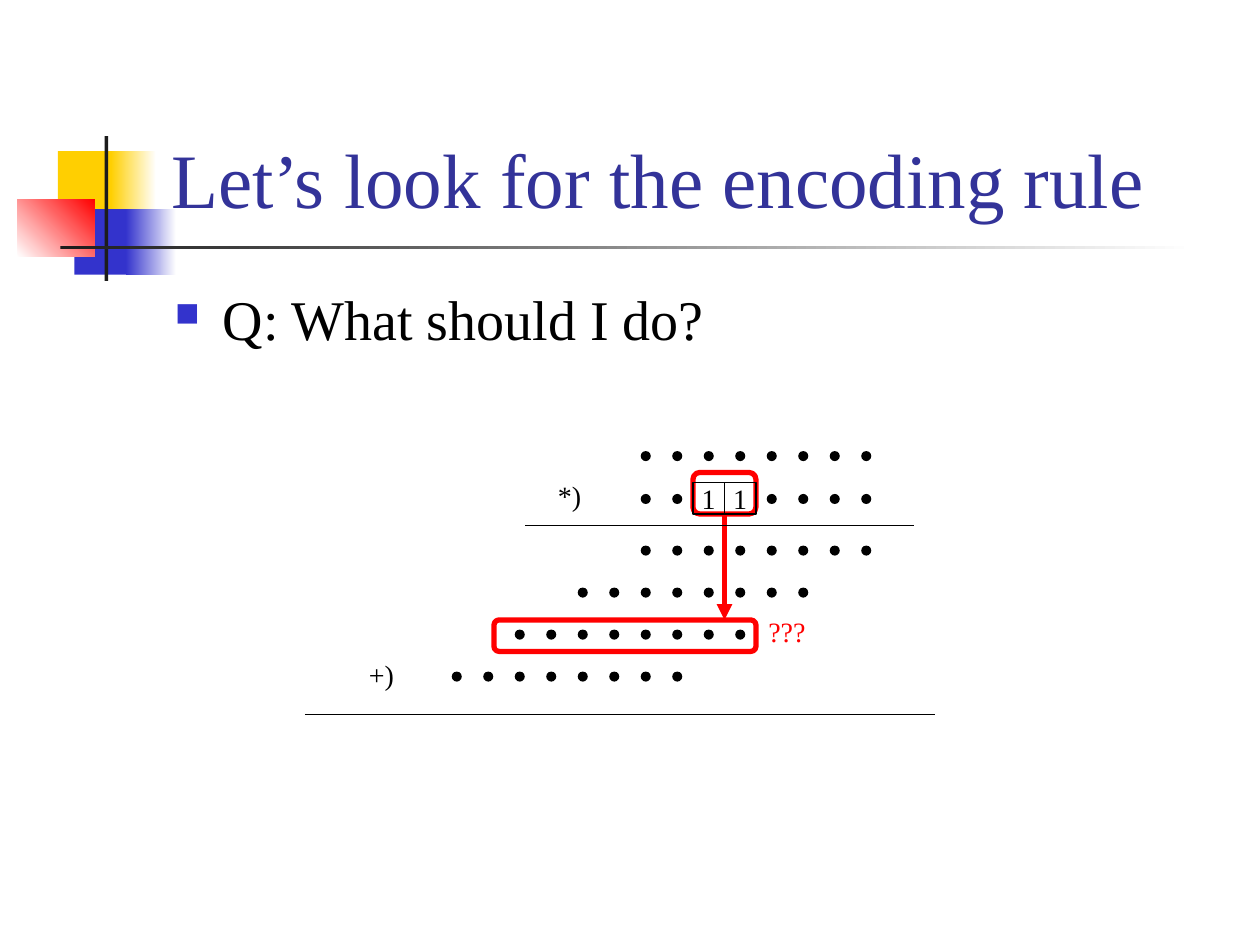
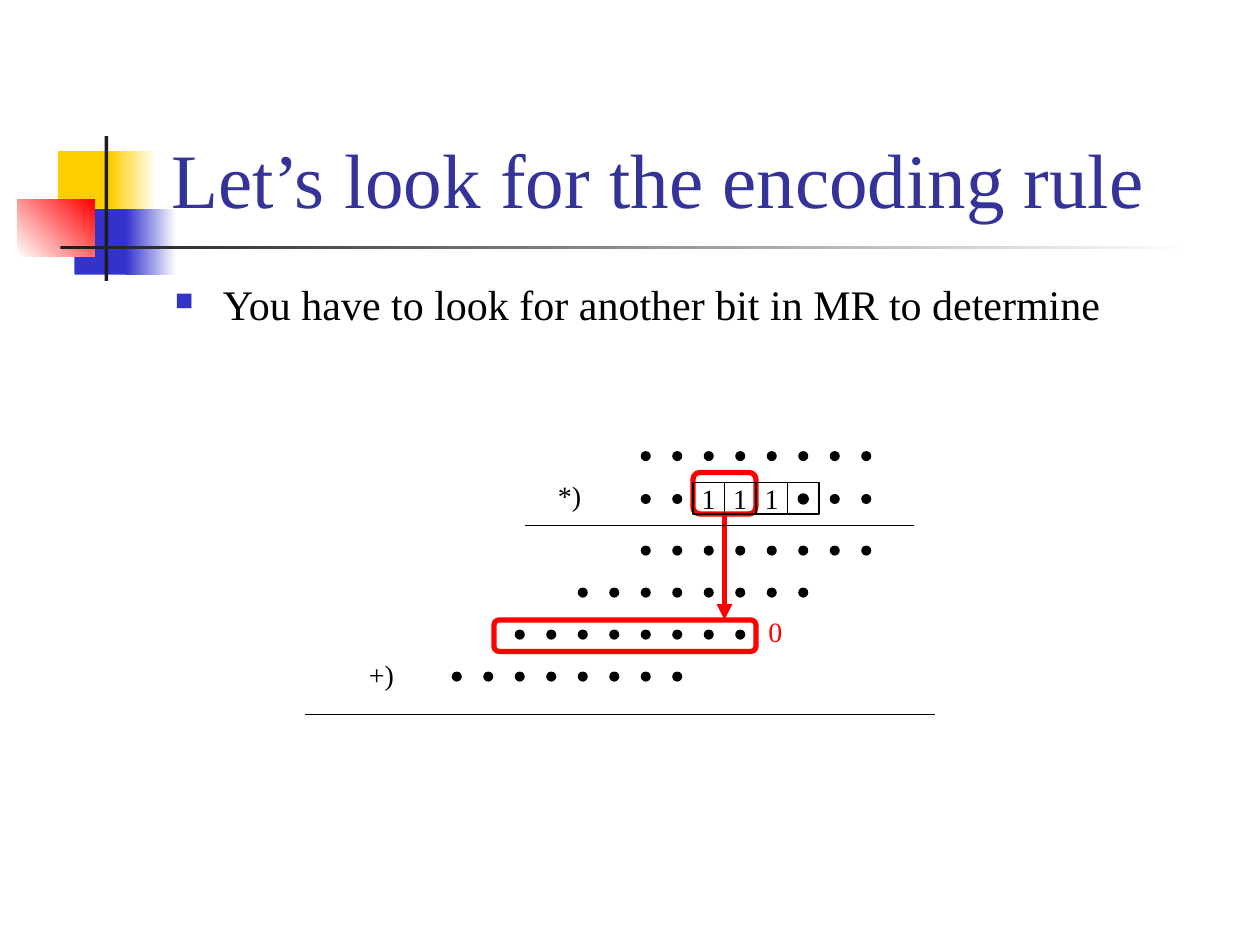
from lxml import etree
from pptx import Presentation
from pptx.dml.color import RGBColor
from pptx.enum.shapes import MSO_CONNECTOR, MSO_SHAPE
from pptx.enum.text import MSO_ANCHOR, MSO_AUTO_SIZE, PP_ALIGN
from pptx.oxml.ns import qn
from pptx.util import Inches, Pt

FONT = "Times New Roman"
BLACK, WHITE, RED = "000000", "FFFFFF", "FF0000"
YELLOW, BLUE, CHARCOAL, TITLE_BLUE = "FFCF01", "3333CC", "1C1C1C", "333399"
TITLE = "Let’s look for the encoding rule"

# left, top, width, height, colours from start to end, gradient angle
TITLE_BLOCKS = [
    (0.46, 1.2, 0.48, 0.52, [YELLOW], 0),
    (0.88, 1.2, 0.36, 0.52, [YELLOW, WHITE], 0),
    (0.59, 1.66, 0.46, 0.52, [BLUE], 0),
    (1, 1.66, 0.4, 0.52, [BLUE, WHITE], 0),
    (0.14, 1.58, 0.61, 0.46, [WHITE, RED], 45),
    (0.83, 1.08, 0.03, 1.15, [CHARCOAL], 0),
    (0.48, 1.95, 9, 0.03, [CHARCOAL, WHITE], 0),
]

# bullet, size, line spacing, multiplier bits, boxed columns, answer, answer width
STEPS = [
    ("Q: What should I do?", 32, 1.0, "••11••••", range(2, 4), "???", 0.5),
    ("You have to look for another bit in MR to determine", 24, 0.9,
     "••111•••", range(2, 6), "0", 0.31),
]

BITS = 8
PITCH = 0.25
GRID_LEFT = 5
DOT = 0.08
DOT_INSET = (PITCH - DOT) / 2
ROW_STEP = 1 / 3


def add_figure(shapes, preset, left, top, width, height, fill=None, line=None, weight=0.75):
    """Add a preset shape; without fill or line colour that part stays empty."""
    figure = shapes.add_shape(preset, Inches(left), Inches(top), Inches(width), Inches(height))
    figure.shadow.inherit = False
    if fill:
        figure.fill.solid()
        figure.fill.fore_color.rgb = RGBColor.from_string(fill)
    else:
        figure.fill.background()
    if line:
        figure.line.color.rgb = RGBColor.from_string(line)
        figure.line.width = Pt(weight)
    else:
        figure.line.fill.background()
    return figure


def write(holder, text, size, color=BLACK, wrap=False):
    """Put one formatted paragraph into a shape and return the paragraph."""
    frame = holder.text_frame
    frame.text = text
    frame.word_wrap = wrap
    paragraph = frame.paragraphs[0]
    font = paragraph.runs[0].font
    font.name, font.size = FONT, Pt(size)
    font.color.rgb = RGBColor.from_string(color)
    return paragraph


prs = Presentation()
prs.slide_width, prs.slide_height = Inches(10), Inches(7.5)

for question, size, spacing, multiplier, boxed, answer, answer_width in STEPS:
    slide = prs.slides.add_slide(prs.slide_layouts[6])
    shapes = slide.shapes

    for left, top, width, height, colors, angle in TITLE_BLOCKS:
        block = add_figure(shapes, MSO_SHAPE.RECTANGLE, left, top, width, height, colors[0])
        if len(colors) == 2:
            block.fill.gradient()
            block.fill.gradient_angle = angle
            for stop, color in zip(block.fill.gradient_stops, colors):
                stop.color.rgb = RGBColor.from_string(color)

    title = shapes.add_textbox(Inches(1.26), Inches(0.23), Inches(8.52), Inches(1.6))
    title.text_frame.vertical_anchor = MSO_ANCHOR.BOTTOM
    write(title, TITLE, 44, TITLE_BLUE, wrap=True)

    body = shapes.add_textbox(Inches(1.29), Inches(2.21), Inches(8.5), Inches(0.71))
    bullet = write(body, question, size, wrap=True)
    bullet.line_spacing = spacing
    props = bullet._p.get_or_add_pPr()
    props.set("marL", str(Inches(0.38)))
    props.set("indent", str(-Inches(0.38)))
    space_before = etree.SubElement(props, qn("a:spcBef"))
    etree.SubElement(space_before, qn("a:spcPct"), val="20000")
    bullet_color = etree.SubElement(props, qn("a:buClr"))
    etree.SubElement(bullet_color, qn("a:srgbClr"), val=BLUE)
    etree.SubElement(props, qn("a:buSzPct"), val="60000")
    etree.SubElement(props, qn("a:buChar"), char="■")

    # Highlighted bit pair and the partial product it selects
    bit_pair = add_figure(shapes, MSO_SHAPE.ROUNDED_RECTANGLE, 5.5, 3.75, 0.5, 0.33,
                          line=RED, weight=3)
    add_figure(shapes, MSO_SHAPE.ROUNDED_RECTANGLE, 3.92, 4.92, 2.08, 0.25, line=RED, weight=3)

    # Selection arrow, then the rules under the operands and the sum
    for x1, y1, x2, y2, color, weight in [
        (5.75, 4.08, 5.75, 4.92, RED, 3),
        (4.17, 4.17, 7.25, 4.17, BLACK, 0.75),
        (2.42, 5.67, 7.42, 5.67, BLACK, 0.75),
    ]:
        rule = shapes.add_connector(MSO_CONNECTOR.STRAIGHT,
                                    Inches(x1), Inches(y1), Inches(x2), Inches(y2))
        rule.line.color.rgb = RGBColor.from_string(color)
        rule.line.width = Pt(weight)
        etree.SubElement(rule._element.spPr, qn("a:effectLst"))
        if color == RED:
            rule.begin_connect(bit_pair, 2)
            etree.SubElement(rule.line._get_or_add_ln(), qn("a:tailEnd"), type="triangle")

    # Multiplicand, then partial products, each two columns further left
    dot_rows = [(GRID_LEFT, 3.58)]
    dot_rows += [(GRID_LEFT - 2 * PITCH * i, 4.33 + ROW_STEP * i) for i in range(4)]
    for row_left, top in dot_rows:
        row = shapes.add_group_shape().shapes
        for column in range(BITS):
            add_figure(row, MSO_SHAPE.OVAL, row_left + PITCH * column + DOT_INSET, top,
                       DOT, DOT, BLACK)

    for column, bit in enumerate(multiplier):
        left = GRID_LEFT + PITCH * column
        if bit == "•":
            add_figure(shapes, MSO_SHAPE.OVAL, left + DOT_INSET, 3.92, DOT, DOT, BLACK,
                       line=BLACK if column in boxed else None)
        if column in boxed:
            cell = add_figure(shapes, MSO_SHAPE.RECTANGLE, left, 3.83, PITCH, PITCH, line=BLACK)
            if bit != "•":
                cell.text_frame.vertical_anchor = MSO_ANCHOR.MIDDLE
                write(cell, bit, 16).alignment = PP_ALIGN.CENTER

    for text, left, top, width, color in [
        ("*)", 4.33, 3.75, 0.39, BLACK),
        ("+)", 2.83, 5.17, 0.4, BLACK),
        (answer, 6, 4.83, answer_width, RED),
    ]:
        label = shapes.add_textbox(Inches(left), Inches(top), Inches(width), Inches(0.37))
        write(label, text, 16, color)
        label.text_frame.auto_size = MSO_AUTO_SIZE.SHAPE_TO_FIT_TEXT

prs.save("out.pptx")
